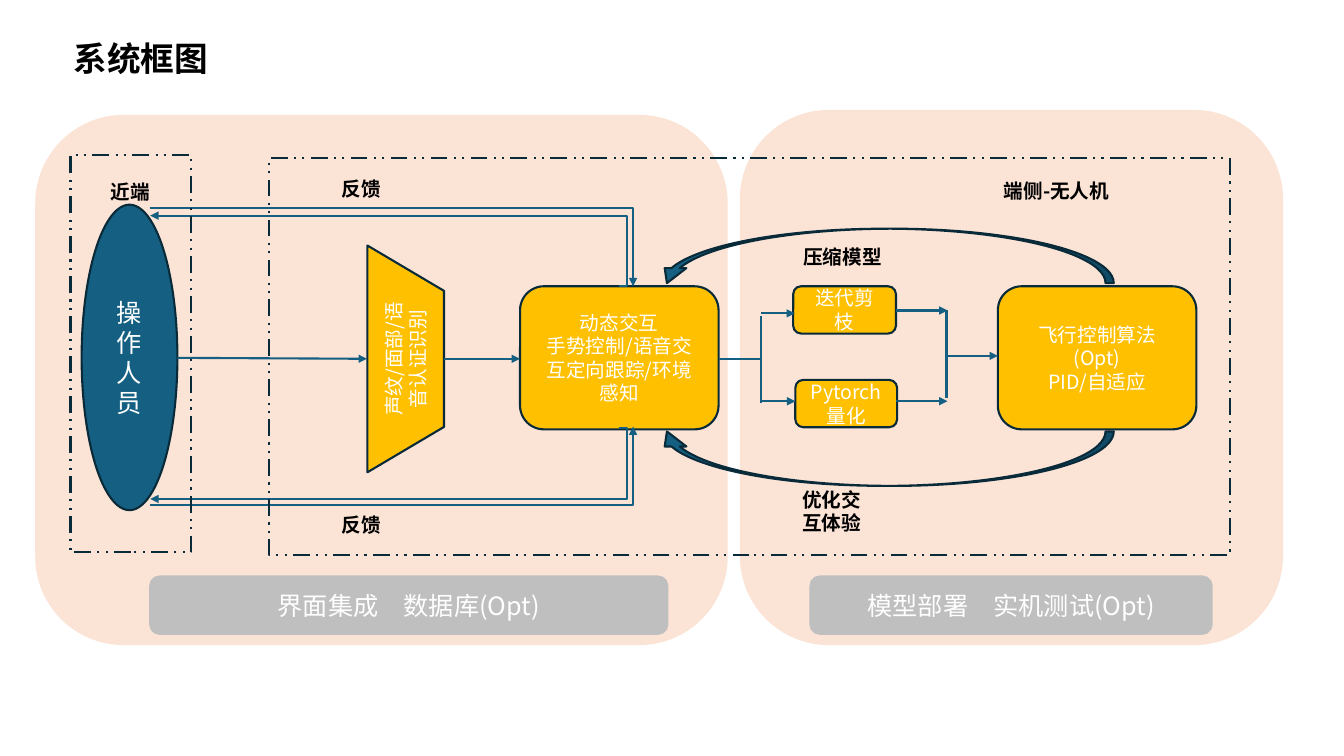
"""Build the system block diagram slide for drone gesture and voice control."""
from lxml import etree
from pptx import Presentation
from pptx.dml.color import RGBColor
from pptx.enum.dml import MSO_LINE
from pptx.enum.shapes import MSO_CONNECTOR, MSO_SHAPE
from pptx.enum.text import MSO_ANCHOR, PP_ALIGN
from pptx.oxml.ns import qn
from pptx.util import Pt

ROUNDED = MSO_SHAPE.ROUNDED_RECTANGLE
TRAPEZOID = MSO_SHAPE.FLOWCHART_MANUAL_OPERATION
BAR = MSO_SHAPE.FLOWCHART_ALTERNATE_PROCESS
OVAL = MSO_SHAPE.OVAL
RECTANGLE = MSO_SHAPE.RECTANGLE
CURVED_ARROW = MSO_SHAPE.CURVED_UP_ARROW
STRAIGHT = MSO_CONNECTOR.STRAIGHT
ELBOW = MSO_CONNECTOR.ELBOW
DASH = MSO_LINE.DASH_DOT_DOT
CENTER = PP_ALIGN.CENTER
LEFT = PP_ALIGN.LEFT
MIDDLE = MSO_ANCHOR.MIDDLE
TOP = MSO_ANCHOR.TOP

FONT = "Noto Sans CJK SC"
LINE_WIDTH = 1.5
COLORS = {
    "panel": "FBE3D6", "module": "FFC000", "operator": "156082", "outline": "092A39",
    "bar": "BFBFBF", "white": "FFFFFF", "black": "000000",
}

TITLE = ("系统框图", (45.4, 23.8, 115.2, 36))
PANELS = [(528.5, 78.5, 388, 382.3), (25.2, 82.1, 494.6, 378.7)]
RECOGNITION = ("声纹/面部/语音认证识别", (208.8, 229, 162, 54.7))
OPERATOR = ("操作人员", (58.3, 146.2, 68.4, 218.2))
MODULES = [
    ("动态交互\n手势控制/语音交互定向跟踪/环境感知", (371.5, 204.5, 141.8, 102.2)),
    ("飞行控制算法(Opt)\nPID/自适应", (712.8, 204.5, 141.8, 102.2)),
    ("迭代剪枝", (566.6, 204.5, 73.4, 33.8)),
    ("Pytorch量化", (568.1, 271.4, 72.7, 33.8)),
]
BARS = [
    ("界面集成　数据库(Opt)", (107.3, 411.8, 369.4, 41)),
    ("模型部署　实机测试(Opt)", (578.9, 411.8, 286.6, 41)),
]
ZONES = [(192.2, 113, 686.2, 283.7), (50.4, 110.9, 86.4, 283.7)]
LABELS = [
    ("近端", (72, 125.3, 43.2, 24.5)),
    ("反馈", (236.9, 123.1, 52.6, 24.5)),
    ("反馈", (236.9, 362.9, 52.6, 24.5)),
    ("端侧-无人机", (709.9, 124.6, 98.6, 24.5)),
    ("压缩模型", (566.6, 171.4, 70.6, 24.5)),
    ("优化交互体验", (565.9, 344.9, 63.4, 41)),
]
MIDDLE_Y, FORK_X, MERGE_X = 256.3, 543.6, 676.1
ARROWS = [
    (126.7, 255.6, 262.1, MIDDLE_Y), (316.8, MIDDLE_Y, 371.5, MIDDLE_Y),
    (FORK_X, 223.9, 567.8, 223.9), (FORK_X, 286.6, 568.1, 286.6),
    (640.1, 221.8, 676.8, 221.8), (640.1, 286.6, 676.8, 286.6),
    (MERGE_X, 254.2, 712.8, 254.2),
]
PLAIN_LINES = [
    (513.4, MIDDLE_Y, FORK_X, MIDDLE_Y),
    (FORK_X, 226, FORK_X, 288),
    (MERGE_X, 221.8, MERGE_X, 284.4),
]
FEEDBACK_LINES = [
    ((442.1, 204.5, 107.3, 154.1), -0.018), ((107.3, 148.3, 452.2, 204.5), 1),
    ((442.1, 306, 107.3, 356.4), -0.018), ((107.3, 360.7, 452.2, 304.6), 1),
]
CURVES = [((468.7, 163.4, 326.9, 38.9), True), ((468.7, 308.2, 326.9, 38.9), False)]
CURVE_ADJUSTMENTS = (0.151, 0.397, 0.276)


def color(name):
    return RGBColor.from_string(COLORS[name])


def write_text(shape, text, size=14, font_color="white", bold=False, align=CENTER, anchor=MIDDLE):
    frame = shape.text_frame
    frame.word_wrap = True
    frame.vertical_anchor = anchor
    for index, line in enumerate(text.split("\n")):
        paragraph = frame.add_paragraph() if index else frame.paragraphs[0]
        paragraph.alignment = align
        run = paragraph.add_run()
        run.text = line
        run.font.name = FONT
        run.font.size = Pt(size)
        run.font.bold = bold
        run.font.color.rgb = color(font_color)
        east_asian = etree.SubElement(run.font._element, qn("a:ea"))
        east_asian.set("typeface", FONT)


def add_block(slide, kind, box, fill=None, outline="outline", dash=None):
    shape = slide.shapes.add_shape(kind, *map(Pt, box))
    shape.shadow.inherit = False
    if fill:
        shape.fill.solid()
        shape.fill.fore_color.rgb = color(fill)
    else:
        shape.fill.background()
    if outline:
        shape.line.color.rgb = color(outline)
        shape.line.width = Pt(LINE_WIDTH)
    else:
        shape.line.fill.background()
    if dash:
        shape.line.dash_style = dash
    return shape


def add_label(slide, text, box, size=14):
    label = slide.shapes.add_textbox(*map(Pt, box))
    write_text(label, text, size=size, font_color="black", bold=True, align=LEFT, anchor=TOP)


def add_line(slide, ends, arrow=True, bend=None):
    kind = STRAIGHT if bend is None else ELBOW
    connector = slide.shapes.add_connector(kind, *map(Pt, ends))
    connector.line.color.rgb = color("operator")
    connector.line.width = Pt(LINE_WIDTH)
    properties = connector._element.spPr
    if arrow:
        etree.SubElement(properties.find(qn("a:ln")), qn("a:tailEnd"), type="triangle")
    if bend is not None:
        guides = properties.find(qn("a:prstGeom")).find(qn("a:avLst"))
        etree.SubElement(guides, qn("a:gd"), name="adj1", fmla=f"val {round(bend * 100000)}")
    etree.SubElement(properties, qn("a:effectLst"))


def add_curve(slide, box, upper):
    curve = add_block(slide, CURVED_ARROW, box, fill="operator")
    for index, value in enumerate(CURVE_ADJUSTMENTS):
        curve.adjustments[index] = value
    transform = curve._element.spPr.find(qn("a:xfrm"))
    transform.set("flipH", "1")
    if upper:
        transform.set("flipV", "1")


def main():
    presentation = Presentation()
    presentation.slide_width, presentation.slide_height = Pt(960), Pt(540)
    slide = presentation.slides.add_slide(presentation.slide_layouts[6])

    add_label(slide, *TITLE, size=24)
    for box in PANELS:
        add_block(slide, ROUNDED, box, fill="panel", outline=None)

    text, box = RECOGNITION
    recognition = add_block(slide, TRAPEZOID, box, fill="module")
    recognition.rotation = 270
    write_text(recognition, text)
    text, box = OPERATOR
    write_text(add_block(slide, OVAL, box, fill="operator"), text, size=18)
    for text, box in MODULES:
        write_text(add_block(slide, ROUNDED, box, fill="module"), text)

    for ends, bend in FEEDBACK_LINES:
        add_line(slide, ends, bend=bend)
    for ends in ARROWS:
        add_line(slide, ends)
    for ends in PLAIN_LINES:
        add_line(slide, ends, arrow=False)

    for box in ZONES:
        add_block(slide, RECTANGLE, box, dash=DASH)
    for text, box in BARS:
        write_text(add_block(slide, BAR, box, fill="bar", outline="bar"), text, size=18)
    for box, upper in CURVES:
        add_curve(slide, box, upper)
    for text, box in LABELS:
        add_label(slide, text, box)
    presentation.save("out.pptx")


if __name__ == "__main__":
    main()
